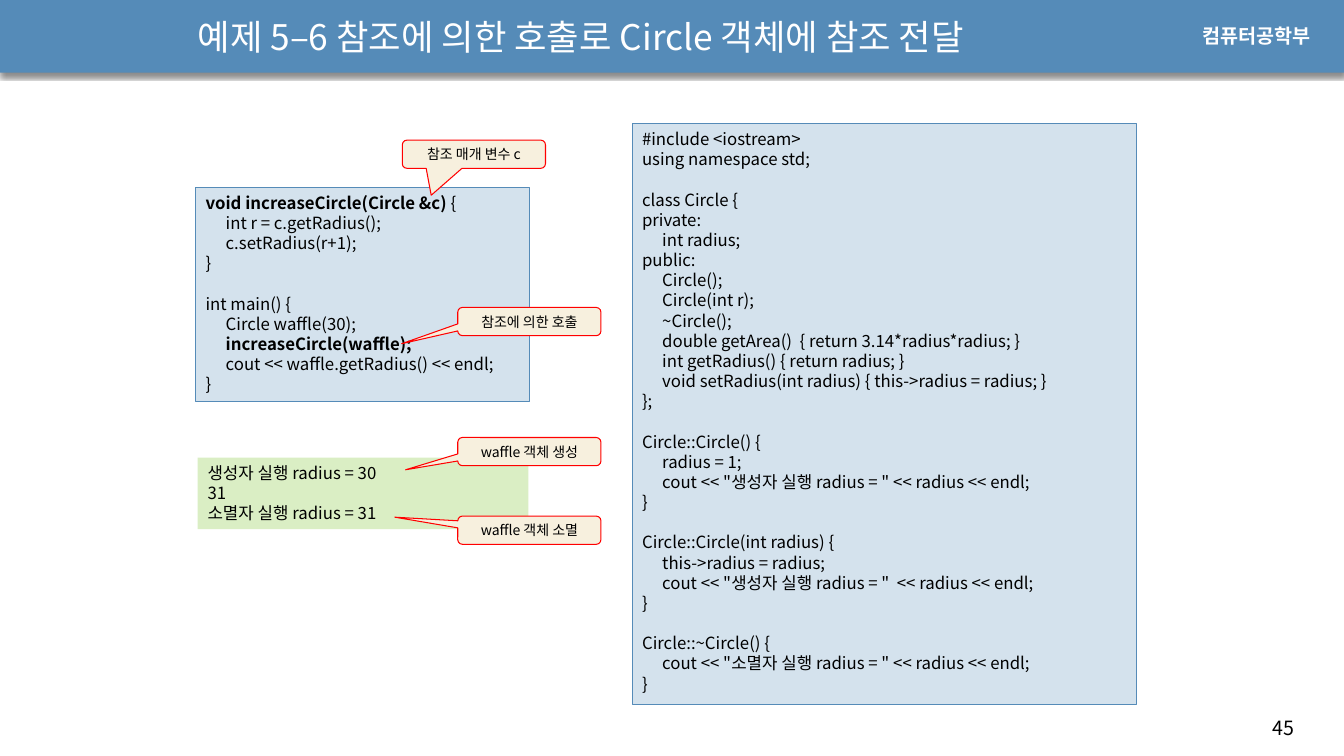
from dataclasses import dataclass
from typing import Optional

from lxml.etree import SubElement
from pptx import Presentation
from pptx.dml.color import RGBColor
from pptx.enum.shapes import MSO_SHAPE
from pptx.enum.text import MSO_ANCHOR, PP_ALIGN
from pptx.oxml.ns import qn
from pptx.shapes.autoshape import Shape
from pptx.slide import Slide
from pptx.util import Emu, Pt

EMU_PER_PX = 9144
FONT = "Noto Sans CJK KR"
BLUE, PALE_BLUE, PALE_GREEN = "558BB8", "D4E2ED", "DAEEC4"
CREAM, RED, BLACK, WHITE = "F7F0DE", "FF0000", "000000", "FFFFFF"
INDENT = 20
BOLD_MARK = "**"

CLASS_CODE = """#include <iostream>
using namespace std;

class Circle {
private:
\tint radius;
public:
\tCircle();
\tCircle(int r);
\t~Circle();
\tdouble getArea()  { return 3.14*radius*radius; }
\tint getRadius() { return radius; }
\tvoid setRadius(int radius) { this->radius = radius; }
};

Circle::Circle() {
\tradius = 1;
\tcout << "생성자 실행 radius = " << radius << endl;
}

Circle::Circle(int radius) {
\tthis->radius = radius;
\tcout << "생성자 실행 radius = "  << radius << endl;
}

Circle::~Circle() {
\tcout << "소멸자 실행 radius = " << radius << endl;
}"""

MAIN_CODE = """**void increaseCircle(Circle &c) **{
\tint r = c.getRadius();
\tc.setRadius(r+1);
}

int main() {
\tCircle waffle(30);
\t**increaseCircle(waffle);**
\tcout << waffle.getRadius() << endl;
}"""

OUTPUT = """생성자 실행 radius = 30
31
소멸자 실행 radius = 31"""


@dataclass
class Box:
    left: int
    top: int
    width: int
    height: int


@dataclass
class Panel:
    box: Box
    text: str
    fill: str
    line: Optional[str] = None


@dataclass
class Callout:
    left: int
    top: int
    text: str
    tip_x: float
    tip_y: float


@dataclass
class Label:
    box: Box
    text: str
    color: str
    font: str = FONT
    bold: bool = False


PANELS = [
    Panel(Box(627, 123, 500, 576), CLASS_CODE, PALE_BLUE, BLUE),
    Panel(Box(194, 186, 331, 212), MAIN_CODE, PALE_BLUE, BLUE),
    Panel(Box(196, 454, 328, 71), OUTPUT, PALE_GREEN),
]
CALLOUTS = [
    Callout(454, 434, "waffle 객체 생성", -0.865, 0.645),
    Callout(454, 512, "waffle 객체 소멸", -0.94, -0.462),
    Callout(454, 305, "참조에 의한 호출", -0.892, 0.786),
    Callout(399, 139, "참조 매개 변수 c", -0.298, 1.454),
]
LABELS = [
    Label(Box(1252, 705, 71, 34), "45", BLACK),
    Label(Box(1183, 19, 137, 34), "컴퓨터공학부", WHITE, "Arial", True),
]


def px(length: int) -> Emu:
    return Emu(length * EMU_PER_PX)


def rgb(color: str) -> RGBColor:
    return RGBColor.from_string(color)


def place(box: Box) -> tuple[Emu, Emu, Emu, Emu]:
    return px(box.left), px(box.top), px(box.width), px(box.height)


def write_text(shape: Shape, text: str, size: float, color: str = BLACK,
               font: str = FONT, bold: bool = False,
               align: PP_ALIGN = PP_ALIGN.LEFT,
               anchor: MSO_ANCHOR = MSO_ANCHOR.TOP) -> None:
    frame = shape.text_frame
    frame.word_wrap = True
    frame.vertical_anchor = anchor
    for index, line in enumerate(text.split("\n")):
        paragraph = frame.add_paragraph() if index else frame.paragraphs[0]
        paragraph.alignment = align
        paragraph.line_spacing = Pt(size * 1.2)
        paragraph.space_before = Pt(0)
        if "\t" in line:
            tabs = SubElement(paragraph._p.get_or_add_pPr(), qn("a:tabLst"))
            SubElement(tabs, qn("a:tab"), pos=str(px(INDENT)), algn="l")
        for part, words in enumerate(line.split(BOLD_MARK)):
            if not words:
                continue
            run = paragraph.add_run()
            run.text = words
            formats = {"name": font, "size": Pt(size),
                       "bold": bold or part % 2 == 1}
            for attribute, value in formats.items():
                setattr(run.font, attribute, value)
            run.font.color.rgb = rgb(color)
            SubElement(run._r.get_or_add_rPr(), qn("a:ea"), typeface=FONT)


def add_box(slide: Slide, kind: MSO_SHAPE, box: Box, fill: str,
            line: Optional[str] = None) -> Shape:
    shape = slide.shapes.add_shape(kind, *place(box))
    shape.fill.solid()
    shape.fill.fore_color.rgb = rgb(fill)
    if line:
        shape.line.color.rgb = rgb(line)
        shape.line.width = Pt(0.75)
    else:
        shape.line.fill.background()
    shape.shadow.inherit = False
    return shape


def add_header(slide: Slide) -> None:
    bar = add_box(slide, MSO_SHAPE.RECTANGLE, Box(0, -1, 1333, 73), BLUE)
    effects = bar._element.spPr.find(qn("a:effectLst"))
    shadow = SubElement(effects, qn("a:outerShdw"), blurRad=str(Pt(3)),
                        dist=str(Pt(2.4)), dir="5400000", rotWithShape="0")
    shade = SubElement(shadow, qn("a:srgbClr"), val=BLACK)
    SubElement(shade, qn("a:alpha"), val="45000")
    title = slide.shapes.title
    title.left, title.top, title.width, title.height = place(Box(186, 5, 882, 63))
    write_text(title, "예제 5–6 참조에 의한 호출로 Circle 객체에 참조 전달", 25.2,
               WHITE, anchor=MSO_ANCHOR.MIDDLE)
    bar._element.addnext(title._element)


def add_panel(slide: Slide, panel: Panel) -> None:
    shape = add_box(slide, MSO_SHAPE.RECTANGLE, panel.box, panel.fill, panel.line)
    write_text(shape, panel.text, 12)


def add_callout(slide: Slide, callout: Callout) -> None:
    shape = add_box(slide, MSO_SHAPE.ROUNDED_RECTANGULAR_CALLOUT,
                    Box(callout.left, callout.top, 142, 28), CREAM, RED)
    shape.adjustments[0] = callout.tip_x
    shape.adjustments[1] = callout.tip_y
    write_text(shape, callout.text, 10, align=PP_ALIGN.CENTER,
               anchor=MSO_ANCHOR.MIDDLE)


def add_label(slide: Slide, label: Label) -> None:
    shape = slide.shapes.add_textbox(*place(label.box))
    write_text(shape, label.text, 14, label.color, label.font, label.bold)


def main() -> None:
    presentation = Presentation()
    presentation.slide_width, presentation.slide_height = px(1333), px(750)
    slide = presentation.slides.add_slide(presentation.slide_layouts[5])
    add_header(slide)
    for label in LABELS:
        add_label(slide, label)
    for panel in PANELS:
        add_panel(slide, panel)
    for callout in CALLOUTS:
        add_callout(slide, callout)
    presentation.save("out.pptx")


if __name__ == "__main__":
    main()
